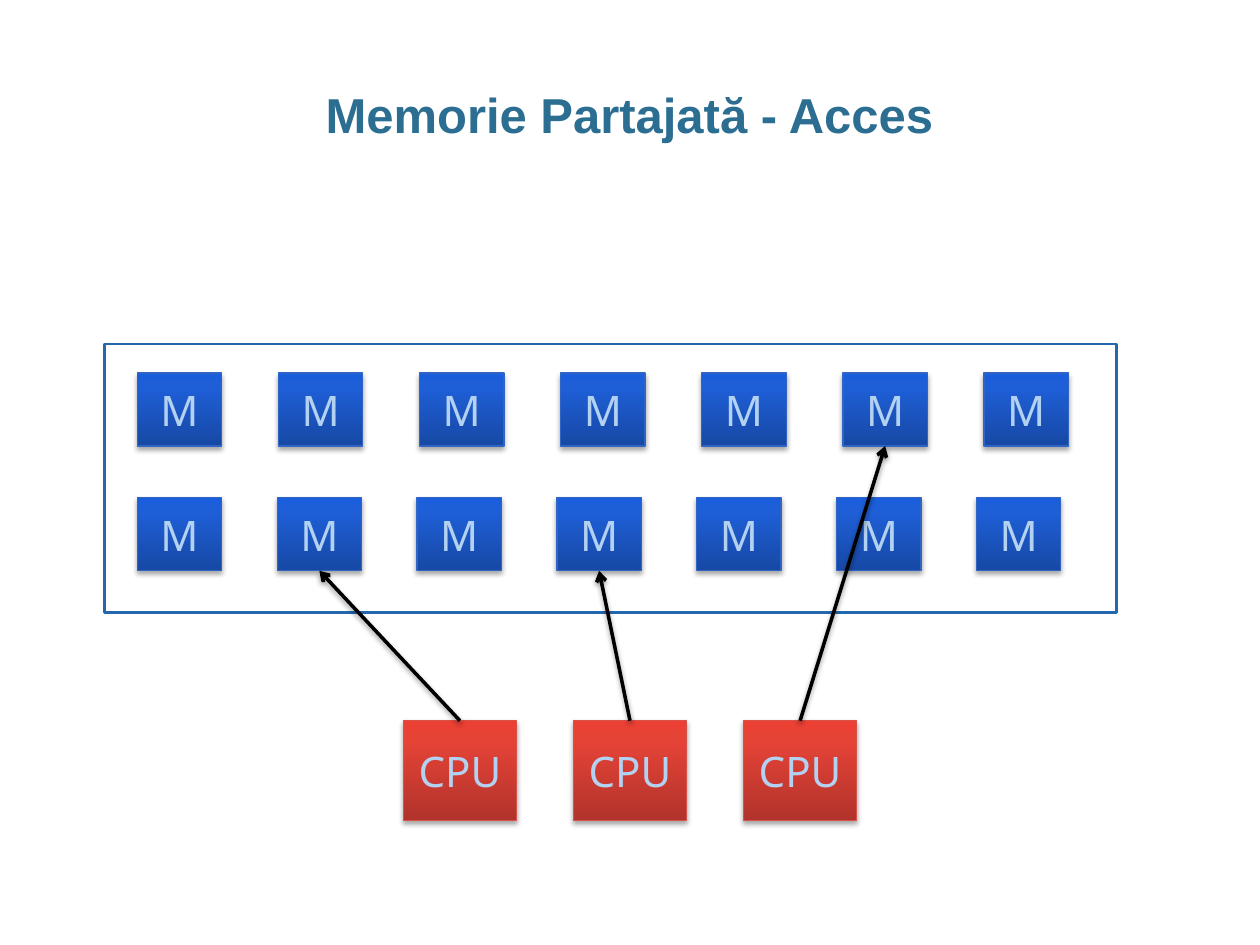
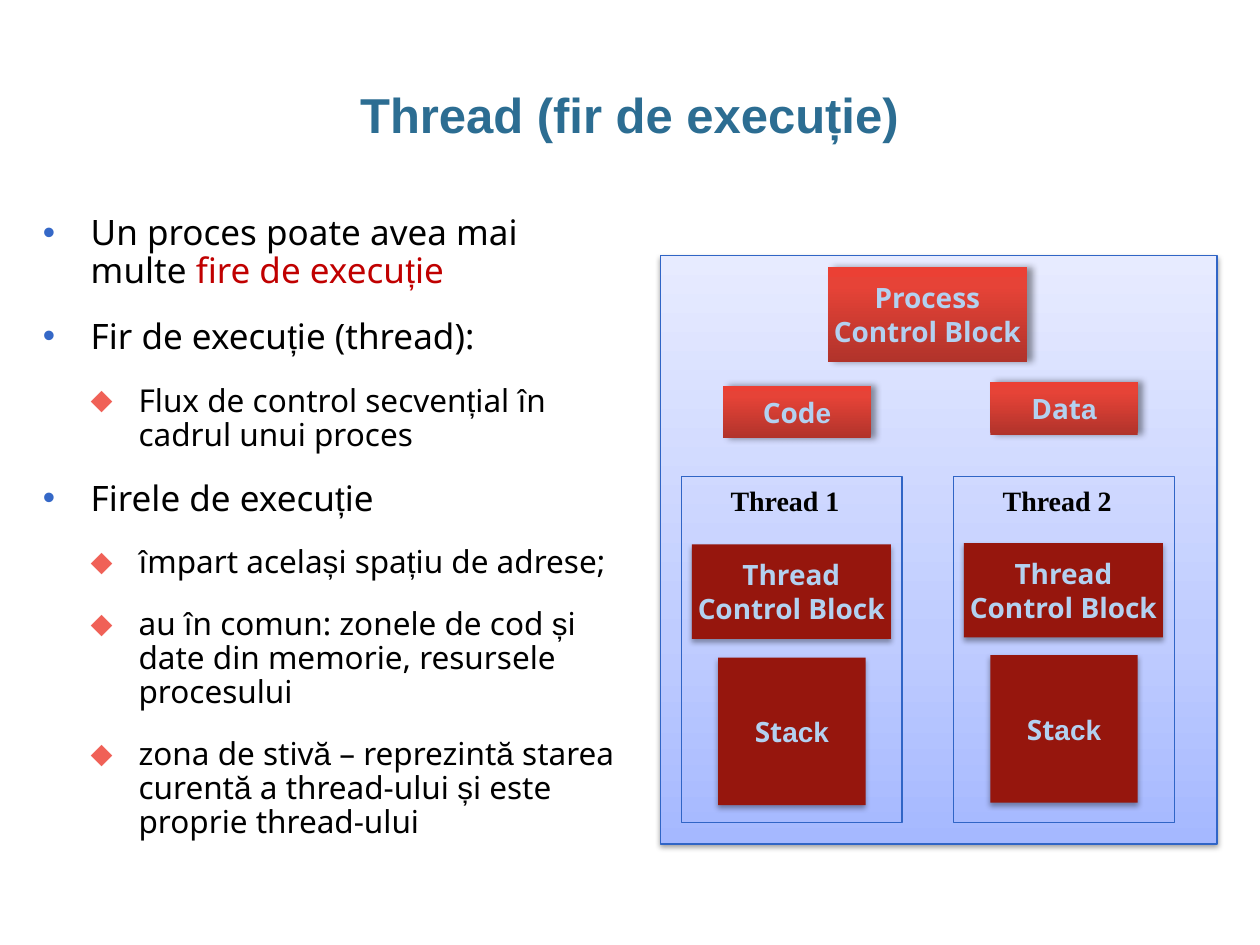
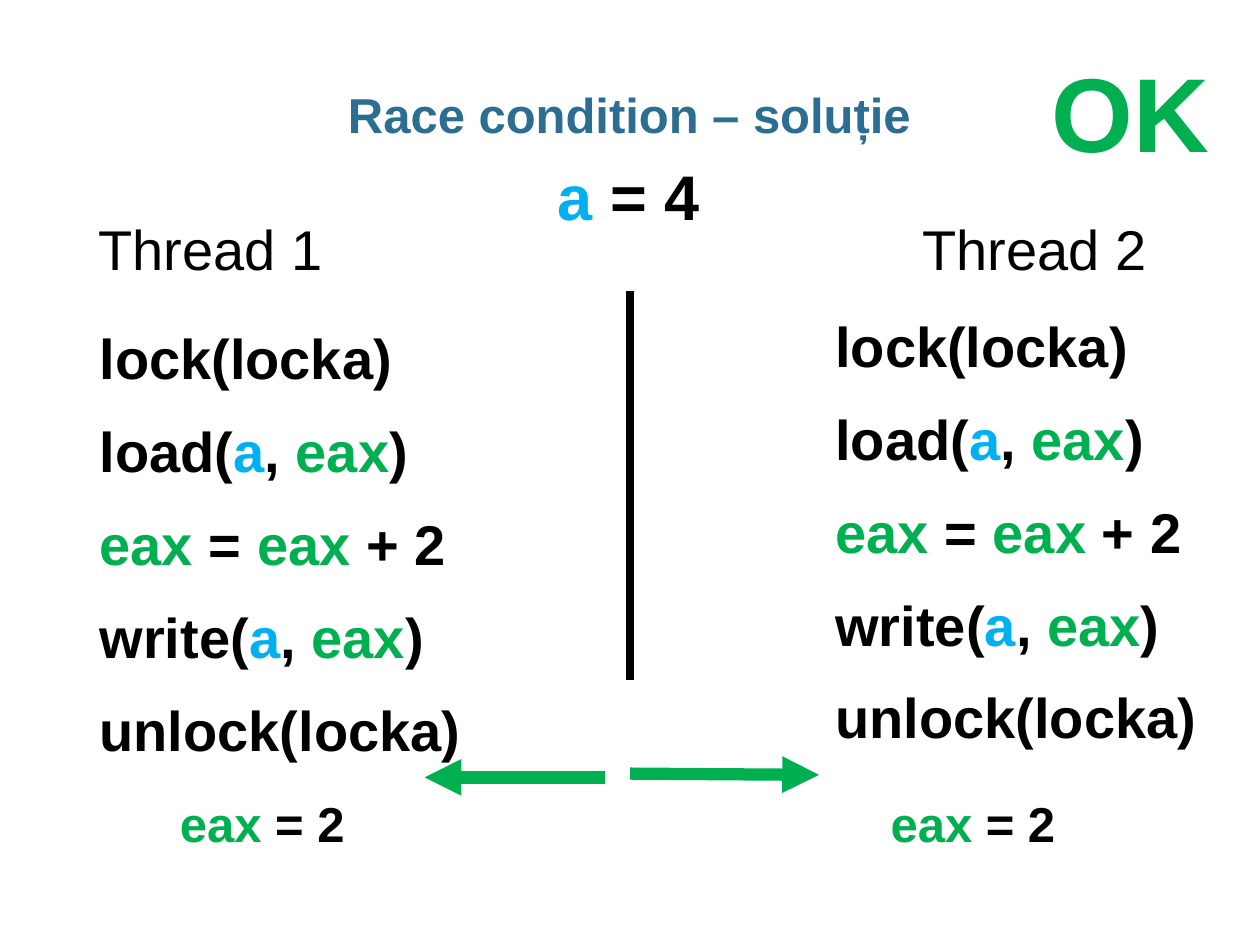
from copy import deepcopy
from itertools import groupby

from lxml.etree import SubElement
from pptx import Presentation
from pptx.dml.color import RGBColor
from pptx.enum.shapes import MSO_CONNECTOR, MSO_SHAPE
from pptx.enum.text import MSO_ANCHOR, MSO_AUTO_SIZE, PP_ALIGN
from pptx.oxml.ns import qn
from pptx.util import Inches, Pt

HUES = {
    "title": "2C6D92", "text": "000000", "label": "B3D1F0", "accent": "C00000",
    "dot": "3568C7", "gem": "F06157", "var": "00B0F0", "green": "00B050",
    "dark": "96160D", "edge": "3065C6", "rim": "D85249", "frame": "2368AF",
}
FADES = {
    "blue": [(0, "1749A5"), (0.8, "1E5ED6"), (1, "1B5EDB")],
    "red": [(0, "B1332B"), (0.8, "E64337"), (1, "EB4034")],
    "pale": [(0, "A5B8FF"), (0.35, "BFCCFF"), (1, "E7EBFF")],
}
# opacity %, blur pt, distance pt, angle
SOFT = (35, 3.1, 1.8, 90)
LOW = (38, 3.1, 1.6, 90)
SIDE = (40, 4, 3, 0)
ARIAL, NOTO, TIMES = "Arial", "Noto Sans", "Times New Roman"
CODE = ["lock(locka)", "load(|a|, |eax|)", "eax| = |eax| + 2",
        "write(|a|, |eax|)", "unlock(locka)"]
TINTS = {"a": "var", "eax": "green"}


def rgb(name):
    return RGBColor.from_string(HUES[name])


def place(shape, left, top, width, height):
    shape.left, shape.top = Inches(left), Inches(top)
    shape.width, shape.height = Inches(width), Inches(height)


def ink(font, hue, face):
    font.color.rgb = rgb(hue)
    font.name = face


def write(para, spans, size, bold=False):
    """Fill a paragraph with (text, hue, face) spans."""
    para.font.size, para.font.bold = Pt(size), bold
    same = len({span[1:] for span in spans}) == 1
    if same:
        ink(para.font, *spans[0][1:])
    for text, hue, face in spans:
        run = para.add_run()
        run.text = text
        if not same:
            ink(run.font, hue, face)


def lines(frame, count):
    """Yield the first paragraph of a frame, then new ones."""
    yield frame.paragraphs[0]
    for _ in range(count - 1):
        yield frame.add_paragraph()


def mixed(text, hue):
    """Split text so that Romanian letters are set in Arial."""
    return [("".join(part), hue, ARIAL if special else NOTO)
            for special, part in groupby(text, lambda c: c in "țșîă")]


def code(text):
    """Colour the variables in text whose pieces are parted by bars."""
    return [(part, TINTS.get(part.strip(), "text"), ARIAL)
            for part in text.split("|")]


def shade(shape, look):
    props = shape._element.spPr
    effects = props.find(qn("a:effectLst"))
    if effects is None:
        effects = SubElement(props, qn("a:effectLst"))
    if look:
        alpha, blur, dist, angle = look
        shadow = SubElement(effects, qn("a:outerShdw"), blurRad=str(Pt(blur)),
                            dist=str(Pt(dist)), dir=str(angle * 60000),
                            rotWithShape="0")
        color = SubElement(shadow, qn("a:srgbClr"), val="000000")
        SubElement(color, qn("a:alpha"), val=str(alpha * 1000))


def fade(shape, name):
    shape.fill.gradient()
    shape.fill.gradient_angle = 90
    stops = shape._element.spPr.find(".//" + qn("a:gsLst"))
    stops.append(deepcopy(stops[-1]))
    for stop, (pos, color) in zip(shape.fill.gradient_stops, FADES[name]):
        stop.position = pos
        stop.color.rgb = RGBColor.from_string(color)


def box(slide, at, fill=None, edge=None, width=0.75, shadow=None):
    shape = slide.shapes.add_shape(MSO_SHAPE.RECTANGLE, *map(Inches, at))
    shape.shadow.inherit = False
    if fill in FADES:
        fade(shape, fill)
    elif fill:
        shape.fill.solid()
        shape.fill.fore_color.rgb = rgb(fill)
    else:
        shape.fill.background()
    if edge:
        shape.line.color.rgb = rgb(edge)
        shape.line.width = Pt(width)
    else:
        shape.line.fill.background()
    shade(shape, shadow)
    return shape


def label(shape, rows, size, bold=False):
    """Centre rows of text; a piece after a bar is set in Arial."""
    frame = shape.text_frame
    frame.word_wrap = False
    frame.vertical_anchor = MSO_ANCHOR.MIDDLE
    for para, row in zip(lines(frame, len(rows)), rows):
        para.alignment = PP_ALIGN.CENTER
        faces = (NOTO, ARIAL)
        write(para, [(part, "label", face)
                     for part, face in zip(row.split("|"), faces)], size, bold)


def note(slide, at, spans, size, bold=False, inset=0.1, wrap=True):
    shape = slide.shapes.add_textbox(*map(Inches, at))
    frame = shape.text_frame
    frame.word_wrap = wrap
    frame.margin_left = frame.margin_right = Inches(inset)
    if spans:
        write(frame.paragraphs[0], spans, size, bold)
    return frame


def line(slide, start, end, hue, width, head=None, shadow=None):
    link = slide.shapes.add_connector(
        MSO_CONNECTOR.STRAIGHT, *map(Inches, start + end))
    link.line.color.rgb = rgb(hue)
    link.line.width = Pt(width)
    if head:
        SubElement(link.line._get_or_add_ln(), qn("a:tailEnd"), type=head)
    shade(link, shadow)
    return link


def page(deck, layout, title):
    slide = deck.slides.add_slide(deck.slide_layouts[layout])
    shape = slide.shapes.title
    place(shape, 0.34, 0.68, 9.31, 0.5)
    frame = shape.text_frame
    frame.auto_size = MSO_AUTO_SIZE.NONE
    frame.margin_left = frame.margin_right = 0
    para = frame.paragraphs[0]
    para.alignment = PP_ALIGN.CENTER
    para.line_spacing = 0.95
    write(para, [(title, "title", ARIAL)], 28, True)
    return slide


def body(slide, *at):
    shape = slide.placeholders[1]
    place(shape, *at)
    shape.text_frame.auto_size = MSO_AUTO_SIZE.NONE
    return shape.text_frame


def bullet(para, level):
    mark, hue = (("•", "dot"), ("⬥", "gem"))[level]
    para.level = level
    props = para._p.get_or_add_pPr()
    props.set("marL", str(Inches(0.38 * (level + 1))))
    props.set("indent", str(Inches(-0.38)))
    color = SubElement(props, qn("a:buClr"))
    SubElement(color, qn("a:srgbClr"), val=HUES[hue])
    SubElement(props, qn("a:buChar"), char=mark)


def listing(frame):
    """Write the locked code of one thread."""
    frame.margin_left = frame.margin_right = 0
    for i, (para, row) in enumerate(zip(lines(frame, len(CODE)), CODE)):
        props = para._p.get_or_add_pPr()
        props.set("marL", "0")
        props.set("indent", "0")
        SubElement(props, qn("a:buNone"))
        para.space_before = Pt(14.7 if i else 0)
        write(para, code(row), 32, True)


def memory(deck):
    slide = page(deck, 5, "Memorie Partajată - Acces")
    cells = []
    for top, step in ((2.96, 1.12), (3.95, 1.11)):
        row = [box(slide, (1.09 + step * i, top, 0.67, 0.58), "blue", "edge",
                   shadow=SOFT) for i in range(7)]
        cells.append(row)
        for cell in row:
            label(cell, ["M"], 24)
    chips = [box(slide, (3.2 + 1.35 * i, 5.72, 0.9, 0.79), "red", "rim",
                 shadow=SOFT) for i in range(3)]
    for chip in chips:
        label(chip, ["CPU"], 24)
    box(slide, (0.83, 2.73, 8.03, 2.13), edge="frame", width=1.5)
    for chip, cell in zip(chips, (cells[1][1], cells[1][3], cells[0][5])):
        link = line(slide, (0, 0), (1, 1), "text", 2, "arrow", LOW)
        link.begin_connect(chip, 0)
        link.end_connect(cell, 2)


def threads(deck):
    slide = page(deck, 1, "Thread (fir de execuție)")
    items = [
        (0, "Un proces poate avea mai multe |fire de execuție"),
        (0, "Fir de execuție (thread):"),
        (1, "Flux de control secvențial în cadrul unui proces"),
        (0, "Firele de execuție"),
        (1, "împart același spațiu de adrese;"),
        (1, "au în comun: zonele de cod și date din memorie, "
            "resursele procesului"),
        (1, "zona de stivă – reprezintă starea curentă a thread-ului "
            "și este proprie thread-ului"),
    ]
    frame = body(slide, 0.24, 1.66, 4.75, 5.33)
    for i, (para, (level, text)) in enumerate(
            zip(lines(frame, len(items)), items)):
        bullet(para, level)
        para.line_spacing = 0.9
        para.space_before = Pt(4 if i else 0)
        para.space_after = Pt(12)
        plain, _, key = text.partition("|")
        write(para, mixed(plain, "text") + mixed(key, "accent"),
              18 if level else 20)

    box(slide, (5.24, 2.03, 4.42, 4.67), "pale", "edge", shadow=LOW)
    for at, rows in (
            ((6.57, 2.12, 1.58, 0.75), ["Process", "Control Block"]),
            ((5.74, 3.06, 1.17, 0.42), ["Cod|e"]),
            ((7.86, 3.03, 1.17, 0.42), ["Dat|a"])):
        label(box(slide, at, "red", shadow=SIDE), rows, 16, True)
    for i in range(2):
        left, lift = 5.41 + 2.16 * i, 0.02 * i
        for at, rows in (
                ((left + 0.29, 5.22 - lift, 1.17, 1.17), ["St|ack"]),
                ((left + 0.08, 4.32 - lift / 2, 1.58, 0.75),
                 ["Thread", "Control Block"])):
            label(box(slide, at, "dark", shadow=SOFT), rows, 16, True)
        box(slide, (left, 3.78, 1.75, 2.75), edge="edge")
        note(slide, (left + 0.29, 3.79, 1.17, 0.37),
             [(f"Thread {i + 1}", "text", TIMES)], 16, True)


def race(deck):
    slide = page(deck, 1, "Race condition – soluție")
    listing(body(slide, 0.79, 2.52, 3.18, 3.62))
    listing(note(slide, (6.63, 2.42, 3.18, 3.62), None, 32))
    line(slide, (5, 2.31), (5, 5.4), "text", 5)
    for i, (head, foot) in enumerate(((0.78, 1.33), (7.32, 6.97))):
        note(slide, (head, 1.65, 2.59, 0.66),
             [(f"Thread {i + 1}", "text", ARIAL)], 32, inset=0)
        note(slide, (foot, 6.25, 2.1, 0.57), code("eax |= 2"), 28, True)
    note(slide, (4.33, 1.2, 1.34, 0.71), code("a| = 4"), 36, True, wrap=False)
    line(slide, (4.8, 6.17), (3.37, 6.17), "green", 7, "triangle")
    line(slide, (5, 6.14), (6.5, 6.15), "green", 7, "triangle")
    note(slide, (8.25, 0.33, 1.46, 1.11), [("OK", "green", ARIAL)], 60, True,
         wrap=False)


def main():
    deck = Presentation()
    deck.slide_width, deck.slide_height = Inches(10), Inches(7.5)
    memory(deck)
    threads(deck)
    race(deck)
    deck.save("out.pptx")


if __name__ == "__main__":
    main()
